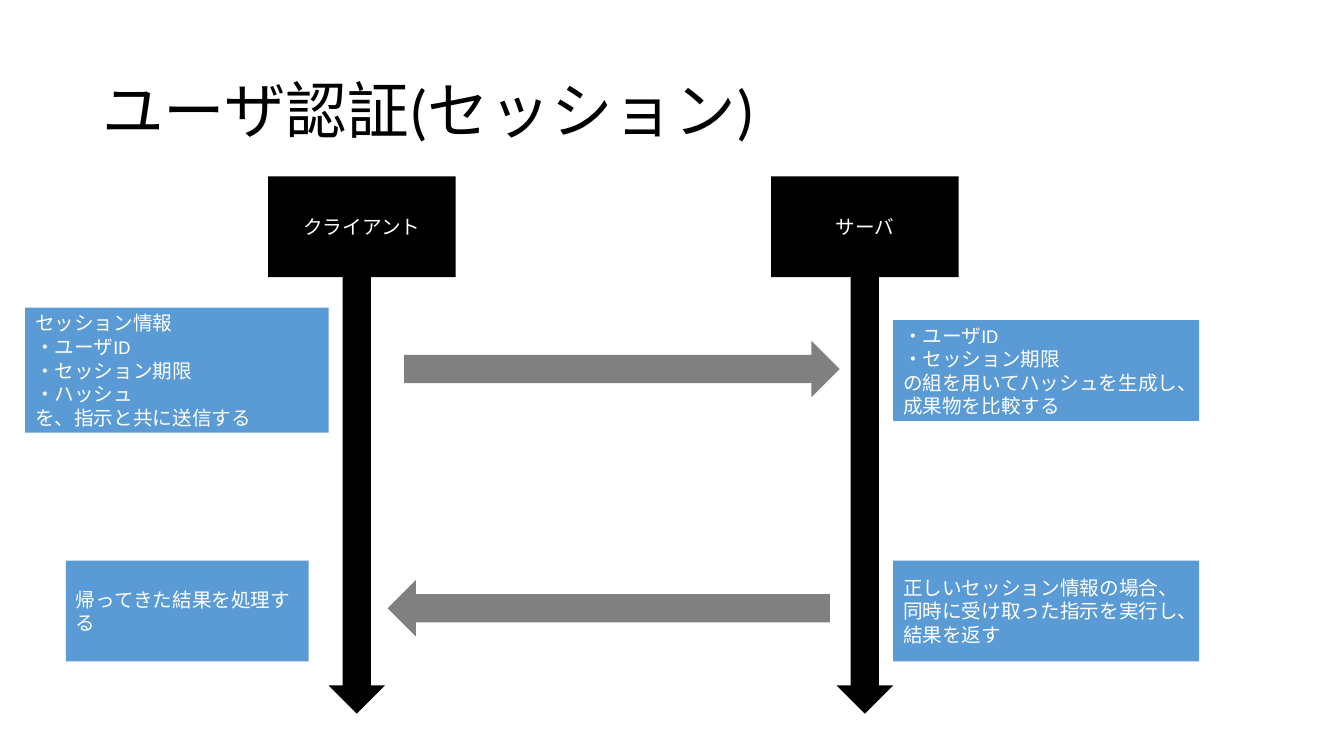
from pptx import Presentation
from pptx import util as u
from pptx.dml.color import RGBColor
from pptx.enum import shapes, text

Pt = u.Pt
BLACK = RGBColor(0x00, 0x00, 0x00)
WHITE = RGBColor(0xFF, 0xFF, 0xFF)
GRAY = RGBColor(0x80, 0x80, 0x80)
BLUE = RGBColor(0x5B, 0x9B, 0xD5)
LEFT, CENTER = text.PP_ALIGN.LEFT, text.PP_ALIGN.CENTER


def write(box, content, size=14, color=WHITE, align=LEFT, spacing=1.0):
    frame = box.text_frame
    frame.word_wrap = True
    frame.vertical_anchor = text.MSO_ANCHOR.MIDDLE
    for number, line in enumerate(content.split("\n")):
        para = frame.add_paragraph() if number else frame.paragraphs[0]
        para.alignment = align
        para.line_spacing = spacing
        span = para.add_run()
        span.text = line
        span.font.name = "Calibri"
        span.font.size = Pt(size)
        span.font.color.rgb = color


def add_block(kind, left, top, width, height, fill):
    block = page.shapes.add_shape(kind, Pt(left), Pt(top), Pt(width), Pt(height))
    block.shadow.inherit = False
    block.fill.solid()
    block.fill.fore_color.rgb = fill
    block.line.fill.background()
    return block


deck = Presentation()
deck.slide_width, deck.slide_height = Pt(960), Pt(540)
page = deck.slides.add_slide(deck.slide_layouts[6])
RECTANGLE = shapes.MSO_SHAPE.RECTANGLE
ARROW = shapes.MSO_SHAPE.DOWN_ARROW
ARROW_WIDTH = 40.3

# Title
title = page.shapes.add_textbox(Pt(66), Pt(28.8), Pt(828), Pt(104.4))
write(title, "ユーザ認証(セッション)", size=44, color=BLACK, spacing=0.9)

# Participants and their timelines
for name, left, timeline_left in [("クライアント", 191.5, 234.7), ("サーバ", 550.8, 597.6)]:
    participant = add_block(RECTANGLE, left, 126, 134, 72, BLACK)
    write(participant, name, align=CENTER)
    add_block(ARROW, timeline_left, 198, ARROW_WIDTH, 311.8, BLACK)

# Messages: request to the right, response to the left
for left, top, length, rotation in [(424.1, 108, 311, 270), (414.7, 276.5, 316, 90)]:
    message = add_block(ARROW, left, top, ARROW_WIDTH, length, GRAY)
    message.rotation = rotation

# Explanations beside each step
explanations = [
    (18, 219.8, 216.7, 89.3,
     "セッション情報\n・ユーザID\n・セッション期限\n・ハッシュ\nを、指示と共に送信する"),
    (638, 228.7, 218.6, 72,
     "・ユーザID\n・セッション期限\nの組を用いてハッシュを生成し、\n成果物を比較する"),
    (638, 400.5, 218.6, 72,
     "正しいセッション情報の場合、\n同時に受け取った指示を実行し、\n結果を返す"),
    (47, 400.5, 173.5, 72, "帰ってきた結果を処理する"),
]
for left, top, width, height, content in explanations:
    write(add_block(RECTANGLE, left, top, width, height, BLUE), content)

deck.save("out.pptx")
